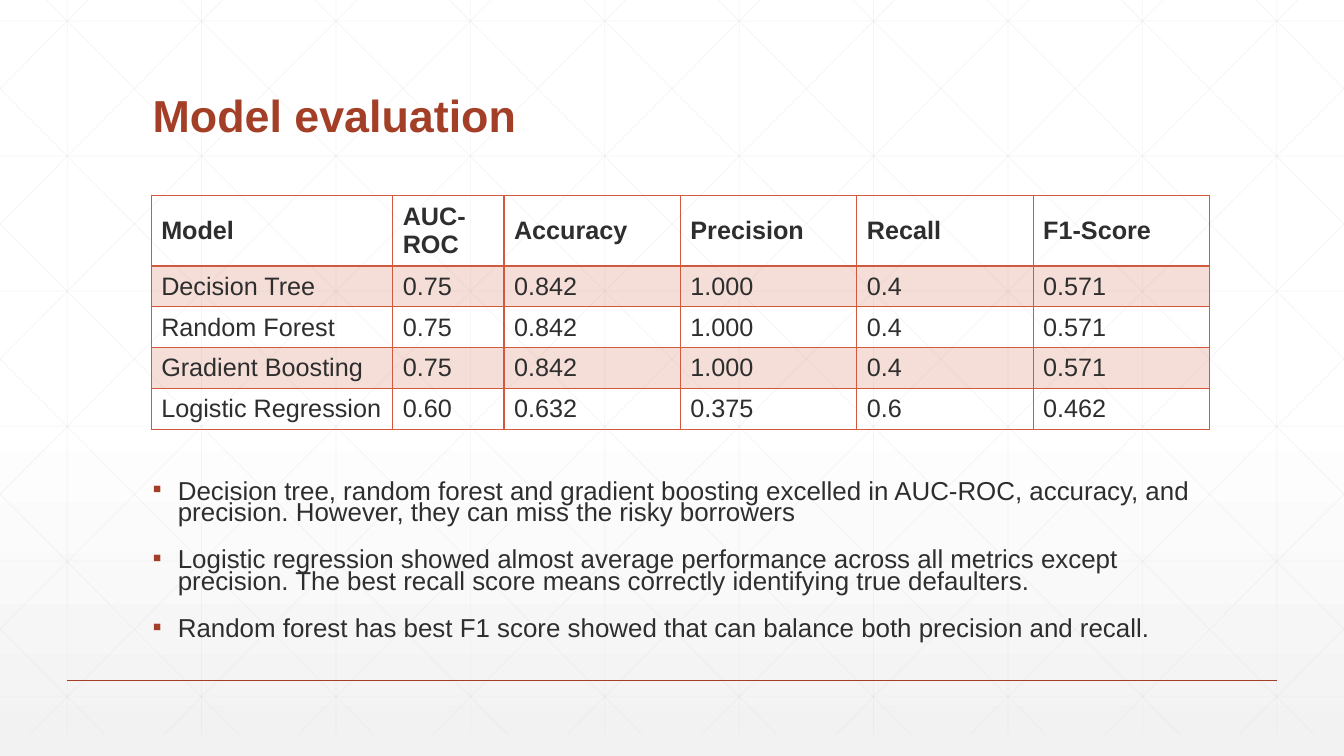
from lxml.etree import SubElement
from pptx import Presentation
from pptx.dml.color import RGBColor
from pptx.enum.shapes import MSO_CONNECTOR
from pptx.enum.text import MSO_ANCHOR
from pptx.oxml.ns import qn
from pptx.util import Pt

PX = 9525  # EMU in one px, 96 px to the inch
WIDTH, HEIGHT = 1280, 720
FONT = "Arial"
RUST, ORANGE, INK, GRID = "A43F27", "D15A3E", "2D2E2D", "D9D9D9"

METRICS = [
    ["Model", "AUC-ROC", "Accuracy", "Precision", "Recall", "F1-Score"],
    ["Decision Tree", "0.75", "0.842", "1.000", "0.4", "0.571"],
    ["Random Forest", "0.75", "0.842", "1.000", "0.4", "0.571"],
    ["Gradient Boosting", "0.75", "0.842", "1.000", "0.4", "0.571"],
    ["Logistic Regression", "0.60", "0.632", "0.375", "0.6", "0.462"],
]
FINDINGS = [
    "Decision tree, random forest and gradient boosting excelled in AUC-ROC, accuracy, "
    "and precision. However, they can miss the risky borrowers",
    "Logistic regression showed almost average performance across all metrics except "
    "precision. The best recall score means correctly identifying true defaulters.",
    "Random forest has best F1 score showed that can balance both precision and recall.",
]


def px(*lengths):
    return [round(length * PX) for length in lengths]


def rgb(code):
    return RGBColor.from_string(code)


def set_opacity(fill_parent, percent):
    color = next(fill_parent.iter(qn("a:srgbClr")))
    SubElement(color, qn("a:alpha"), val=str(percent * 1000))


def write(paragraph, text, size=18, color=INK, bold=False, spacing=None, before=None, bullet=None):
    run = paragraph.add_run()
    run.text = text
    run.font.name, run.font.size, run.font.bold = FONT, Pt(size), bold
    run.font.color.rgb = rgb(color)
    if spacing:
        paragraph.line_spacing = spacing
    if before is not None:
        paragraph.space_before = Pt(before)
    if bullet:
        props = paragraph._p.get_or_add_pPr()
        indent = px(24)[0]
        props.set("marL", str(indent))
        props.set("indent", str(-indent))
        SubElement(SubElement(props, qn("a:buClr")), qn("a:srgbClr"), val=RUST)
        SubElement(props, qn("a:buFont"), typeface=FONT)
        SubElement(props, qn("a:buChar"), char=bullet)


def add_line(slide, start, end, color, width, opacity=None):
    line = slide.shapes.add_connector(MSO_CONNECTOR.STRAIGHT, *px(*start, *end))
    line.line.color.rgb = rgb(color)
    line.line.width = Pt(width)
    if opacity:
        set_opacity(line.line._get_or_add_ln(), opacity)
    SubElement(line._element.spPr, qn("a:effectLst"))


def add_text_frame(slide, box, anchor=MSO_ANCHOR.TOP):
    frame = slide.shapes.add_textbox(*px(*box)).text_frame
    frame.word_wrap = True
    frame.vertical_anchor = anchor
    return frame


def add_backdrop(slide, box):
    left, top, width, height = box
    right, bottom = left + width, top + height - 20
    # Fade from white to light grey
    fill = slide.background.fill
    fill.gradient()
    fill.gradient_angle = 270
    for stop, position, color in zip(fill.gradient_stops, (0.53, 1), ("FFFFFF", "F2F2F2")):
        stop.position = position
        stop.color.rgb = rgb(color)

    # Upright and level grid lines
    step = 128
    segments = [((x, top), (x, bottom)) for x in range(left + 64, right, step)]
    segments += [((left, y), (right, y)) for y in (top + 20 + 128.6 * i for i in range(6))]
    # Diagonals cut at the edges, each with its mirror twin
    slope = 716 / 720
    for i in range(-5, 10):
        x0 = left + 44 + step * i
        y1 = max(top, top + (left - x0) / slope)
        y2 = min(bottom, top + (right - x0) / slope)
        x1, x2 = (x0 + (y - top) * slope for y in (y1, y2))
        segments.append(((x1, y1), (x2, y2)))
        segments.append(((left + right - x1, y1), (left + right - x2, y2)))
    for start, end in segments:
        add_line(slide, start, end, GRID, 0.5, opacity=25)

    # Footer rule
    add_line(slide, (left + 64, top + 648), (right - 64, top + 648), RUST, 1)


def add_title(slide, box):
    frame = add_text_frame(slide, box, MSO_ANCHOR.BOTTOM)
    write(frame.paragraphs[0], "Model evaluation", size=32, color=RUST, bold=True, spacing=0.9)


def set_borders(cell, **widths):
    props = cell._tc.get_or_add_tcPr()
    for index, side in enumerate("LRTB"):
        border = SubElement(props, qn(f"a:ln{side}"), w=str(Pt(widths.get(side, 1))))
        SubElement(SubElement(border, qn("a:solidFill")), qn("a:srgbClr"), val=ORANGE)
        props.insert(index, border)


def add_metrics(slide, box):
    table = slide.shapes.add_table(len(METRICS), len(METRICS[0]), *px(*box)).table
    table.first_row = table.horz_banding = False
    for column, width in zip(table.columns, px(230, 106, *[168] * 4)):
        column.width = width
    for row, height in zip(table.rows, px(64, *[39] * 4)):
        row.height = height

    for r, values in enumerate(METRICS):
        for c, value in enumerate(values):
            cell = table.cell(r, c)
            cell.vertical_anchor = MSO_ANCHOR.MIDDLE
            write(cell.text_frame.paragraphs[0], value, bold=r == 0)
            if r % 2:
                cell.fill.solid()
                cell.fill.fore_color.rgb = rgb(ORANGE)
                set_opacity(cell._tc.tcPr, 20)
            else:
                cell.fill.background()
            set_borders(cell, T=2 if r == 1 else 1, B=2 if r == 0 else 1)


def add_findings(slide, box):
    frame = add_text_frame(slide, box)
    for i, finding in enumerate(FINDINGS):
        paragraph = frame.add_paragraph() if i else frame.paragraphs[0]
        write(paragraph, finding, size=18.5, spacing=0.7, before=18, bullet="▪")


def main():
    deck = Presentation()
    deck.slide_width, deck.slide_height = px(WIDTH, HEIGHT)
    slide = deck.slides.add_slide(deck.slide_layouts[6])
    add_backdrop(slide, (0, 0, WIDTH, HEIGHT))
    add_title(slide, (136, 29, 1008, 111))
    add_metrics(slide, (144, 186, 1008, 220))
    add_findings(slide, (136, 455, 1008, 172))
    deck.save("out.pptx")


if __name__ == "__main__":
    main()
